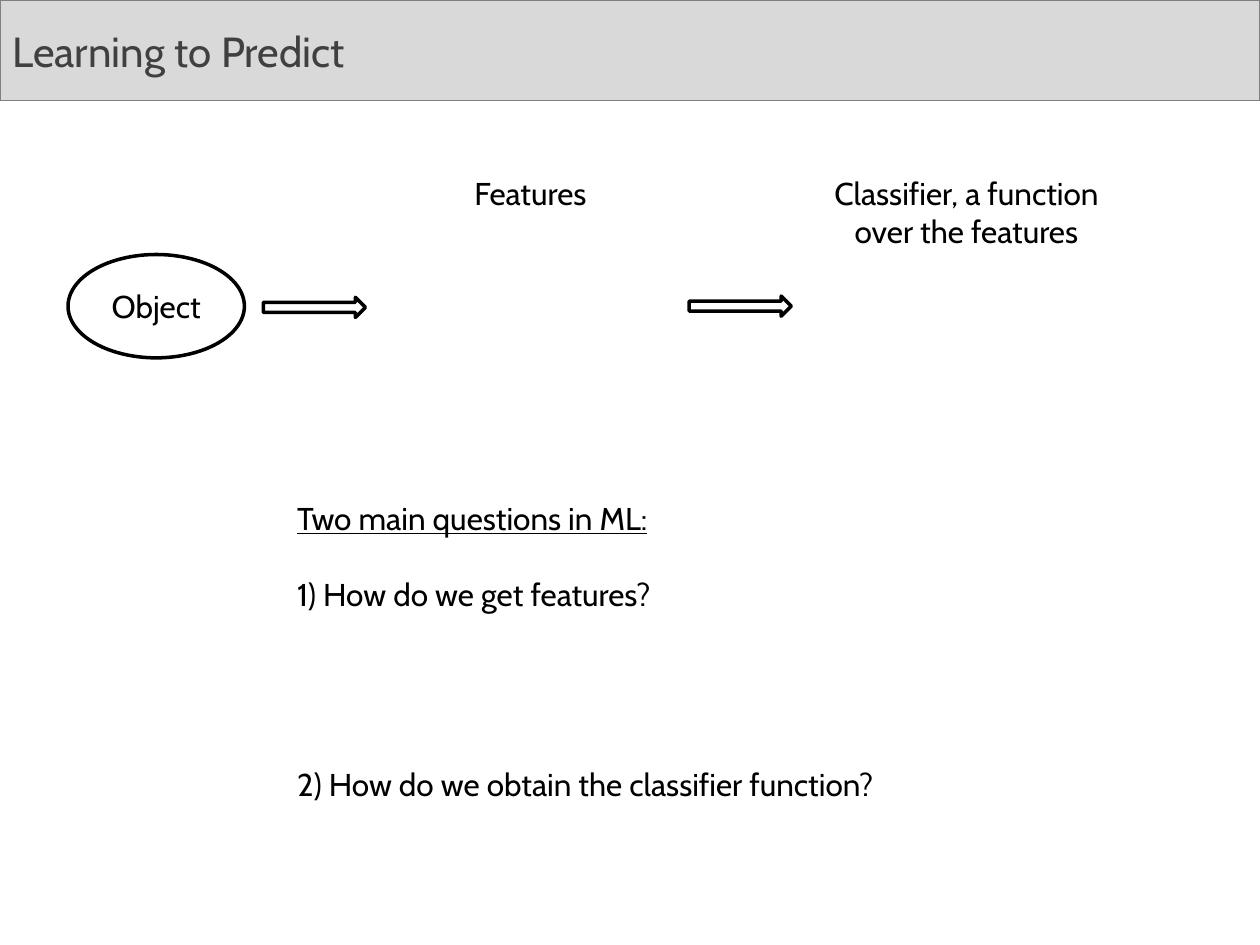
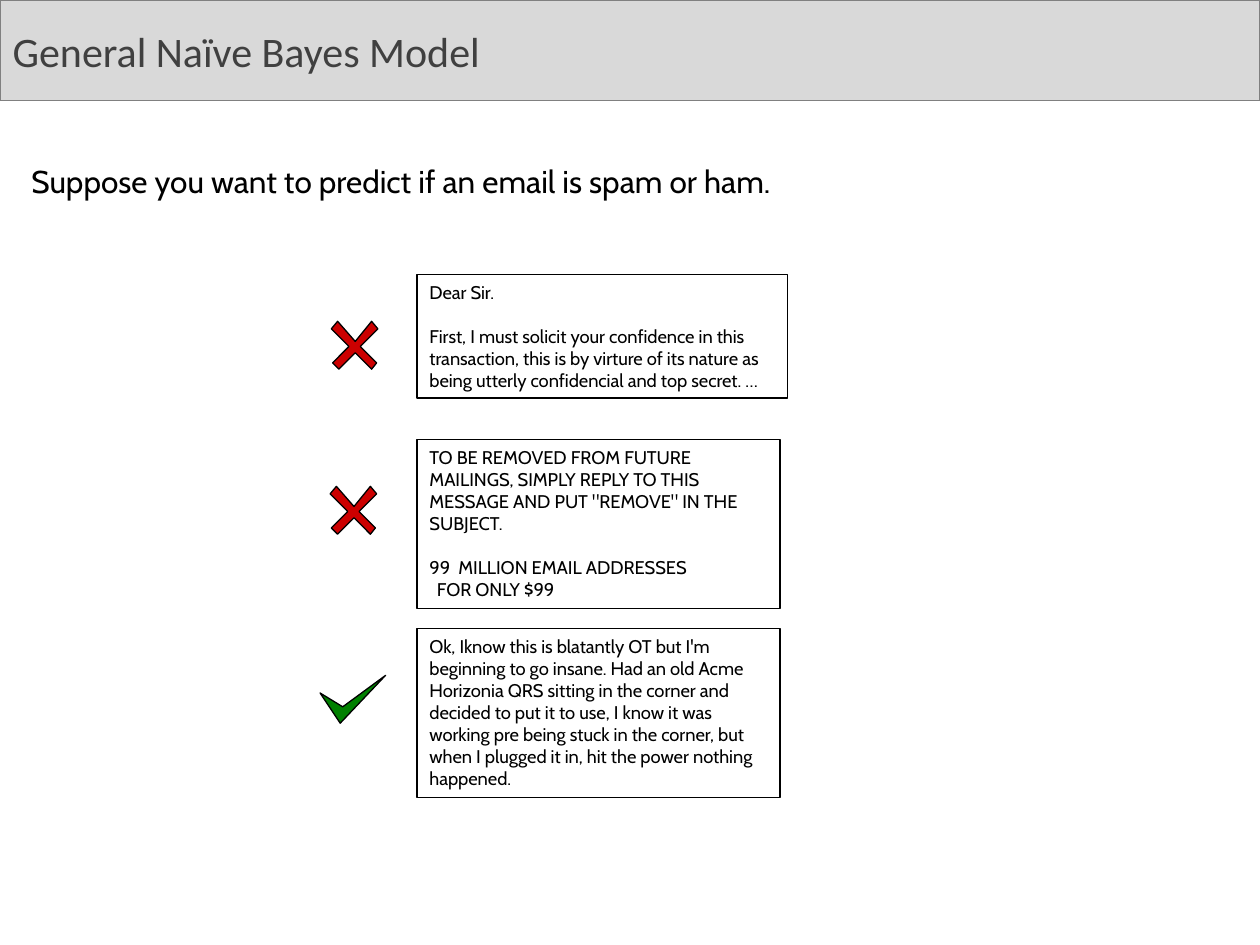
"""Build two slides that introduce prediction and a spam example."""
import pptx
import pptx.dml.color
import pptx.enum.shapes
import pptx.enum.text
import pptx.util

Inches = pptx.util.Inches
Pt = pptx.util.Pt
SHAPES = pptx.enum.shapes.MSO_SHAPE
ALIGN = pptx.enum.text.PP_ALIGN
ANCHOR = pptx.enum.text.MSO_ANCHOR
BLACK, WHITE = "000000", "FFFFFF"
RED, GREEN = "CC0000", "008000"
BAND_FILL, BAND_LINE, TITLE_COLOR = "D9D9D9", "808080", "404040"
FONT = "Cabin"


def paint(shape, fill, line, width):
    """Set the fill and outline of a shape; a fill of None leaves it clear."""
    if fill:
        shape.fill.solid()
        shape.fill.fore_color.rgb = pptx.dml.color.RGBColor.from_string(fill)
    else:
        shape.fill.background()
    shape.line.color.rgb = pptx.dml.color.RGBColor.from_string(line)
    shape.line.width = Pt(width)


def write(shape, lines, size, align=ALIGN.LEFT, anchor=ANCHOR.TOP, font=FONT, color=BLACK):
    """Fill a shape with (text, points before) paragraphs."""
    frame = shape.text_frame
    frame.word_wrap = True
    frame.auto_size = pptx.enum.text.MSO_AUTO_SIZE.NONE
    frame.vertical_anchor = anchor
    for index, (text, before) in enumerate(lines):
        paragraph = frame.paragraphs[0] if index == 0 else frame.add_paragraph()
        paragraph.text = text
        paragraph.alignment = align
        paragraph.space_before = Pt(before)
        paragraph.font.size = Pt(size)
        paragraph.font.name = font
        paragraph.font.color.rgb = pptx.dml.color.RGBColor.from_string(color)


presentation = pptx.Presentation()
presentation.slide_width = Inches(10)
presentation.slide_height = Inches(7.5)

slides = []
for title_text, title_font in [("Learning to Predict", FONT), ("General Naïve Bayes Model", "Calibri")]:
    slide = presentation.slides.add_slide(presentation.slide_layouts[5])
    title = slide.shapes.title
    title.left, title.top = Inches(0), Inches(0)
    title.width, title.height = Inches(10), Inches(0.8)
    paint(title, BAND_FILL, BAND_LINE, 0.75)
    write(title, [(title_text, 0)], 24, anchor=ANCHOR.MIDDLE, font=title_font, color=TITLE_COLOR)
    slides.append(slide)
predict_slide, spam_slide = slides

object_oval = predict_slide.shapes.add_shape(
    SHAPES.OVAL, Inches(0.54), Inches(2.02), Inches(1.4), Inches(0.82))
object_oval.shadow.inherit = False
paint(object_oval, WHITE, BLACK, 2)
write(object_oval, [("Object", 0)], 18, ALIGN.CENTER, ANCHOR.MIDDLE)

for left, top in [(2.09, 2.36), (5.47, 2.35)]:
    arrow = predict_slide.shapes.add_shape(
        SHAPES.RIGHT_ARROW, Inches(left), Inches(top), Inches(0.81), Inches(0.16))
    arrow.shadow.inherit = False
    paint(arrow, WHITE, BLACK, 2)

for left, height, label in [
    (2.82, 0.4, "Features"),
    (6.28, 0.71, "Classifier, a function over the features"),
]:
    heading = predict_slide.shapes.add_textbox(
        Inches(left), Inches(1.33), Inches(2.78), Inches(height))
    write(heading, [(label, 0)], 18, ALIGN.CENTER)

questions = predict_slide.shapes.add_textbox(
    Inches(2.26), Inches(3.91), Inches(5.86), Inches(2.52))
write(questions, [
    ("Two main questions in ML:", 0),
    ("1) How do we get features?", 22),
    ("2) How do we obtain the classifier function?", 87),
], 18)
questions.text_frame.paragraphs[0].font.underline = True

prompt = spam_slide.shapes.add_textbox(Inches(0.15), Inches(1.24), Inches(7.19), Inches(0.4))
write(prompt, [("Suppose you want to predict if an email is spam or ham.", 0)], 18)

emails = [
    (2.18, 2.94, 0.98, [
        ("Dear Sir.", 0),
        ("First, I must solicit your confidence in this transaction, this is by virture "
         "of its nature as being utterly confidencial and top secret. …", 12.6),
    ]),
    (3.49, 2.88, 1.34, [
        ("TO BE REMOVED FROM FUTURE MAILINGS, SIMPLY REPLY TO THIS MESSAGE AND PUT "
         "\"REMOVE\" IN THE SUBJECT.", 0),
        ("99  MILLION EMAIL ADDRESSES", 12.6),
        ("FOR ONLY $99", 0),
    ]),
    (4.99, 2.88, 1.34, [
        ("Ok, Iknow this is blatantly OT but I'm beginning to go insane. Had an old Acme "
         "Horizonia QRS sitting in the corner and decided to put it to use, I know it was "
         "working pre being stuck in the corner, but when I plugged it in, hit the power "
         "nothing happened.", 0),
    ]),
]
email_boxes = []
for top, width, height, lines in emails:
    email_box = spam_slide.shapes.add_shape(
        SHAPES.RECTANGLE, Inches(3.31), Inches(top), Inches(width), Inches(height))
    email_box.shadow.inherit = False
    paint(email_box, None, BLACK, 0.75)
    write(email_box, lines, 10.5)
    email_boxes.append(email_box)
price_line = email_boxes[1].text_frame.paragraphs[2]
price_line._p.get_or_add_pPr().set("marL", str(Inches(0.06)))

check = [(0.16, 0.38), (0.52, 0), (0.18, 0.25), (0, 0.14)]
cross = [(0, 0.06), (0.14, 0.2), (0.01, 0.33), (0.06, 0.38), (0.19, 0.25), (0.32, 0.38),
         (0.36, 0.33), (0.23, 0.2), (0.37, 0.06), (0.32, 0), (0.19, 0.16), (0.05, 0)]
for left, top, outline, color in [
    (2.54, 5.36, check, GREEN),
    (2.63, 2.55, cross, RED),
    (2.62, 3.86, cross, RED),
]:
    points = [(Inches(left + x), Inches(top + y)) for x, y in outline]
    builder = spam_slide.shapes.build_freeform(*points[0])
    builder.add_line_segments(points[1:], close=True)
    mark = builder.convert_to_shape()
    mark.shadow.inherit = False
    paint(mark, color, BLACK, 0.75)

presentation.save("out.pptx")
